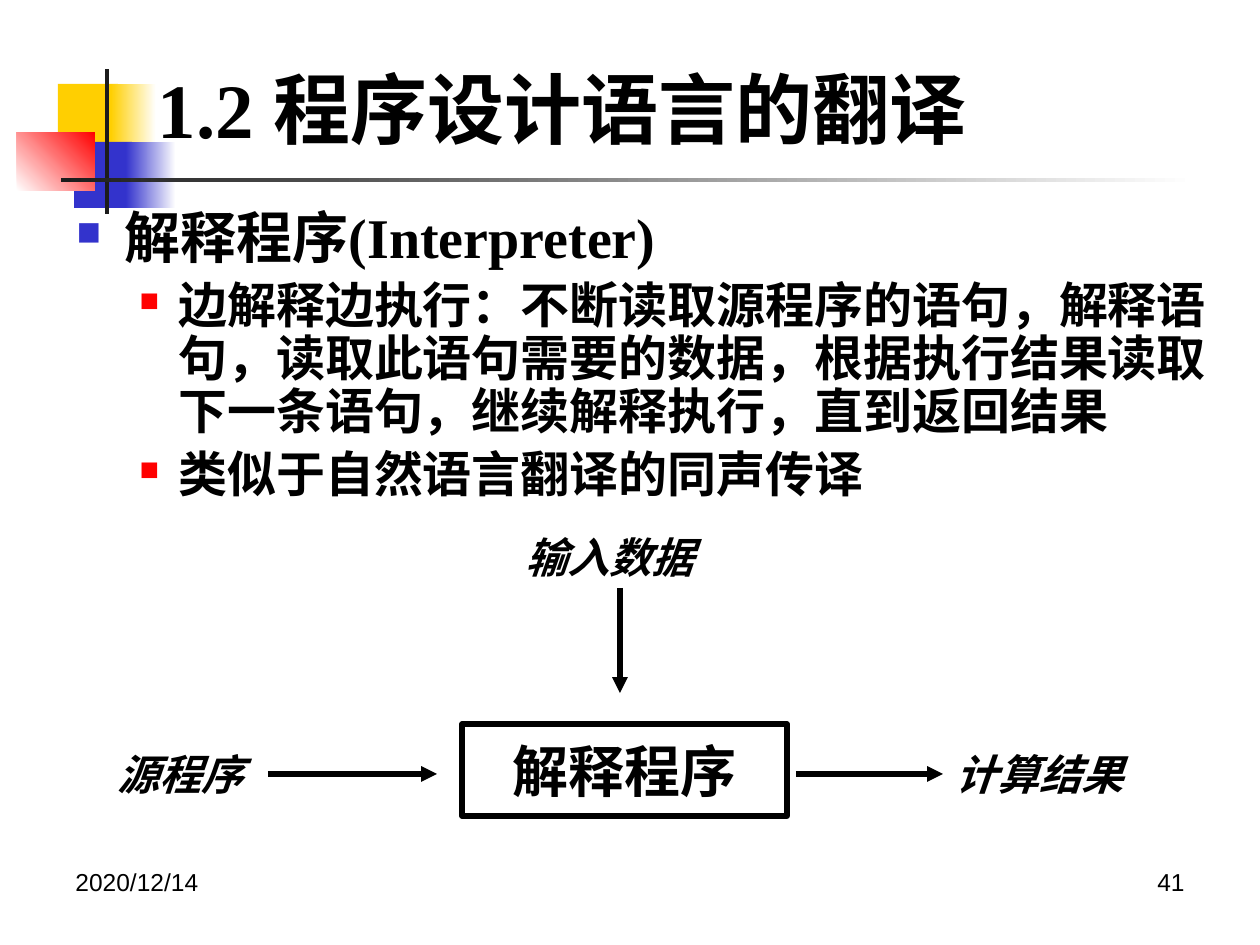
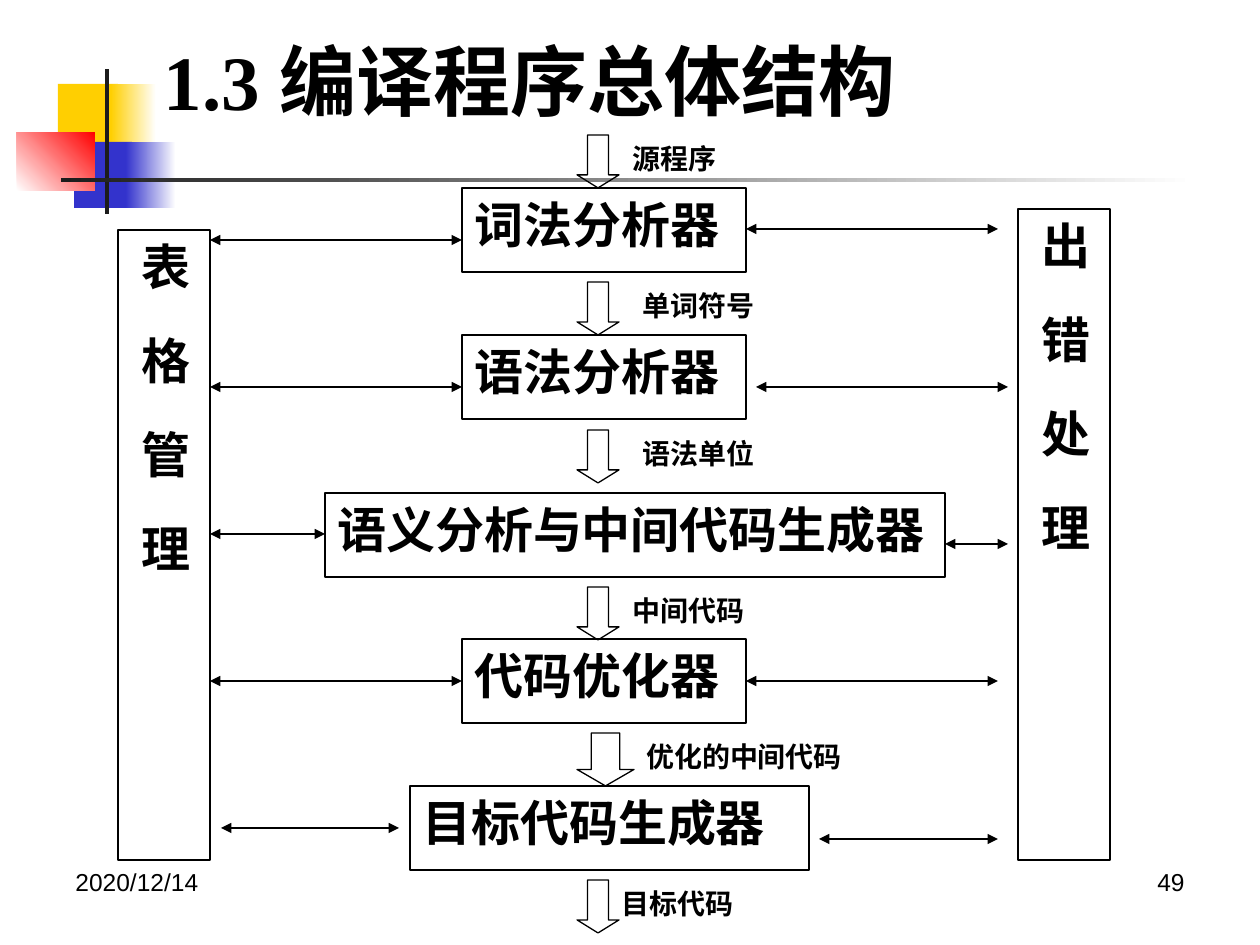
"""Build two slides on interpreters and the overall structure of a compiler."""
from lxml import etree
from pptx import Presentation
from pptx import util as u
from pptx.dml.color import RGBColor
from pptx.enum import shapes, text
from pptx.oxml.ns import qn

PX = 914400 / 126
BLACK, YELLOW, BLUE, RED, WHITE, DARK = "000000", "FFCF01", "3333CC", "FF0000", "FFFFFF", "1C1C1C"
SERIF, SANS, CJK = "Times New Roman", "Arial", "Noto Sans CJK SC"
RECT, DOWN = shapes.MSO_SHAPE.RECTANGLE, shapes.MSO_SHAPE.DOWN_ARROW
LEFT, CENTER, RIGHT = text.PP_ALIGN.LEFT, text.PP_ALIGN.CENTER, text.PP_ALIGN.RIGHT
TOP, MIDDLE = text.MSO_ANCHOR.TOP, text.MSO_ANCHOR.MIDDLE
rgb = RGBColor.from_string


def add_box(s, kind, at, line=None):
    """Add an unfilled preset shape, or a text box when kind is None."""
    at = [round(v * PX) for v in at]
    if kind is None:
        return s.shapes.add_textbox(*at)
    sp = s.shapes.add_shape(kind, *at)
    sp.shadow.inherit = False
    sp.fill.background()
    if line:
        sp.line.color.rgb = rgb(BLACK)
        sp.line.width = u.Pt(line)
    else:
        sp.line.fill.background()
    return sp


def write(tf, words, size, name=SERIF, bold=True, italic=False, align=LEFT, anchor=TOP, wrap=True, p=None):
    """Write one run into a paragraph, the first one by default."""
    tf.word_wrap, tf.auto_size, tf.vertical_anchor = wrap, text.MSO_AUTO_SIZE.NONE, anchor
    p = p or tf.paragraphs[0]
    p.alignment = align
    r = p.add_run()
    r.text = words
    r.font.size, r.font.name, r.font.bold, r.font.italic = u.Pt(size), name, bold, italic
    r.font.color.rgb = rgb(BLACK)
    etree.SubElement(r._r.rPr, qn("a:ea"), typeface=CJK)
    return r


prs = Presentation()
prs.slide_width, prs.slide_height = u.Inches(10), u.Inches(7.5)

ornaments = [
    ((58, 84, 60, 66), [YELLOW], 0),
    ((111, 84, 45, 66), [YELLOW, WHITE], 0),
    ((74, 142, 58, 66), [BLUE], 0),
    ((126, 142, 50, 66), [BLUE, WHITE], 0),
    ((17, 132, 78, 59), [WHITE, RED], 45),
    ((105, 69, 4, 145), [DARK], 0),
    ((61, 178, 1134, 4), [DARK, WHITE], 0),
]
headings = [
    ("1.2 程序设计语言的翻译", (145, 55, 941, 105), "41"),
    ("1.3 编译程序总体结构", (151, 32, 1016, 95), "49"),
]
slides = []
for heading, at, number in headings:
    s = prs.slides.add_slide(prs.slide_layouts[5])
    slides.append(s)
    for place, colours, angle in ornaments:
        sp = add_box(s, RECT, place)
        if len(colours) == 1:
            sp.fill.solid()
            sp.fill.fore_color.rgb = rgb(colours[0])
        else:
            sp.fill.gradient()
            sp.fill.gradient_angle = angle
            for stop, colour in zip(sp.fill.gradient_stops, colours):
                stop.color.rgb = rgb(colour)
    title = s.shapes.title
    title.left, title.top, title.width, title.height = [round(v * PX) for v in at]
    write(title.text_frame, heading, 44, anchor=MIDDLE)
    s.shapes._spTree.append(title._element)
    for words, left, align in [("2020/12/14", 63, LEFT), (number, 903, RIGHT)]:
        write(add_box(s, None, (left, 861, 294, 66)).text_frame, words, 14, SANS, False, align=align)

interpreter, compiler = slides

points = [
    ("解释程序(Interpreter)", 32, 48, 48, BLUE, 60),
    ("边解释边执行：不断读取源程序的语句，解释语句，读取此语句需要的数据，"
     "根据执行结果读取下一条语句，继续解释执行，直到返回结果", 28, 102, 39, RED, 55),
    ("类似于自然语言翻译的同声传译", 28, 102, 39, RED, 55),
]
tf = add_box(interpreter, None, (64, 204, 1169, 210)).text_frame
for i, (words, size, margin, hang, colour, percent) in enumerate(points):
    p = tf.add_paragraph() if i else tf.paragraphs[0]
    pPr = p._p.get_or_add_pPr()
    pPr.set("marL", str(round(margin * PX)))
    pPr.set("indent", str(round(-hang * PX)))
    etree.SubElement(etree.SubElement(pPr, qn("a:buClr")), qn("a:srgbClr"), val=colour)
    etree.SubElement(pPr, qn("a:buSzPct"), val=str(percent * 1000))
    etree.SubElement(pPr, qn("a:buChar"), char="■")
    p.line_spacing = 0.9
    if i:
        p.space_before = u.Pt(6)
    write(tf, words, size, p=p)

for words, at in [
    ("源程序", (105, 742, 163, 63)),
    ("输入数据", (513, 525, 212, 63)),
    ("计算结果", (943, 742, 213, 63)),
]:
    write(add_box(interpreter, None, at).text_frame, words, 24, italic=True, wrap=False)
sp = add_box(interpreter, RECT, (462, 724, 325, 92), 3)
write(sp.text_frame, "解释程序", 32, align=CENTER, anchor=MIDDLE)

for words, left, top, width in [
    ("词法分析器", 462, 188, 284),
    ("语法分析器", 462, 335, 284),
    ("语义分析与中间代码生成器", 325, 493, 620),
    ("代码优化器", 462, 639, 284),
    ("目标代码生成器", 410, 786, 399),
]:
    sp = add_box(compiler, RECT, (left, top, width, 84), 0.75)
    write(sp.text_frame, words, 28, wrap=False)

for words, top, width, left in [
    ("源程序", 135, 42, 620),
    ("单词符号", 282, 42, 630),
    ("语法单位", 430, 42, 630),
    ("中间代码", 587, 42, 620),
    ("优化的中间代码", 733, 57, 634),
    ("目标代码", 880, 42, 609),
]:
    sp = add_box(compiler, DOWN, (577, top, width, 53), 0.75)
    sp.adjustments[1] = 0.31
    write(add_box(compiler, None, (left, top, 224, 42)).text_frame, words, 16, wrap=False)

for words, at in [("表格管理", (118, 230, 92, 630)), ("出错处理", (1018, 209, 92, 651))]:
    tf = add_box(compiler, RECT, at, 0.75).text_frame
    r = write(tf, words, 28, CJK, anchor=MIDDLE)
    r._r.rPr.set("spc", "2570")
    tf._txBody.bodyPr.set("vert", "eaVert")

flows = [(268, 774, 437, 774), (796, 774, 943, 774), (620, 588, 620, 693)]
links = [
    (210, 240, 462), (210, 387, 462), (210, 534, 325), (210, 681, 462), (221, 828, 399),
    (746, 229, 998), (756, 387, 1008), (945, 544, 1008), (746, 681, 998), (819, 839, 998),
]
lines = [(interpreter, at, 3, ["tailEnd"]) for at in flows]
lines += [(compiler, (x1, y, x2, y), 0.75, ["headEnd", "tailEnd"]) for x1, y, x2 in links]
for s, at, width, ends in lines:
    cx = s.shapes.add_connector(shapes.MSO_CONNECTOR.STRAIGHT, *[round(v * PX) for v in at])
    cx.line.color.rgb = rgb(BLACK)
    cx.line.width = u.Pt(width)
    for end in ends:
        etree.SubElement(cx.line._get_or_add_ln(), qn("a:" + end), type="triangle")
    etree.SubElement(cx._element.spPr, qn("a:effectLst"))

prs.save("out.pptx")
